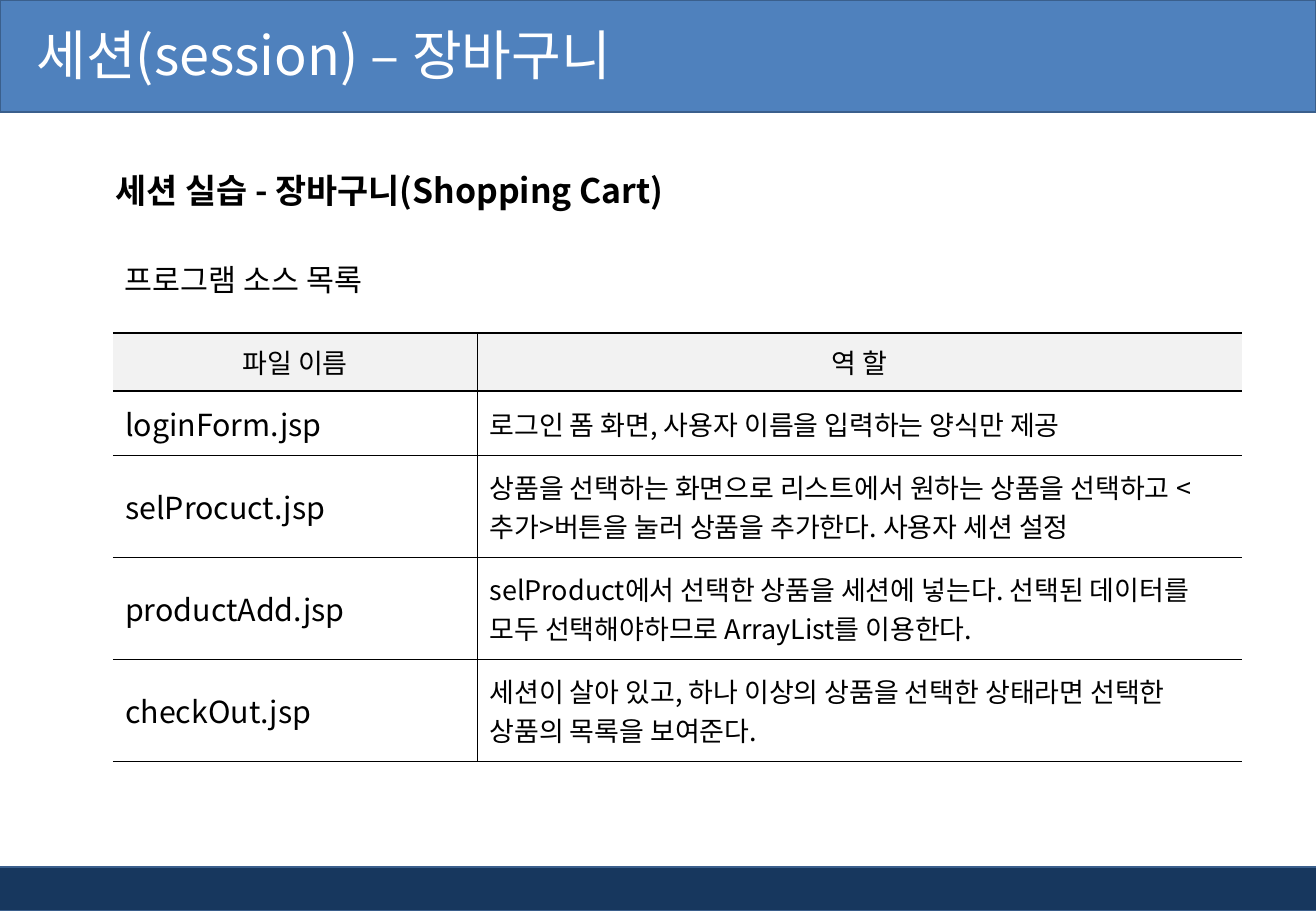
from dataclasses import dataclass

from lxml.etree import SubElement
from pptx import Presentation
from pptx.dml.color import RGBColor
from pptx.enum.shapes import MSO_SHAPE
from pptx.enum.text import MSO_ANCHOR, MSO_AUTO_SIZE, PP_ALIGN
from pptx.oxml.ns import qn
from pptx.slide import Slide
from pptx.table import _Cell
from pptx.text.text import TextFrame
from pptx.util import Emu, Pt

FONT = "Noto Sans CJK KR"
NO_TABLE_STYLE = "{2D5ABB26-0587-4C30-8999-92F81FD0307C}"
WHITE = RGBColor(0xFF, 0xFF, 0xFF)
BLACK = RGBColor(0x00, 0x00, 0x00)
BLUE = RGBColor(0x4F, 0x81, 0xBD)
NAVY = RGBColor(0x17, 0x37, 0x5E)
BAR_EDGE = RGBColor(0x3A, 0x5F, 0x8C)
HEADER_GRAY = RGBColor(0xF2, 0xF2, 0xF2)


@dataclass(frozen=True)
class Box:
    left: int
    top: int
    width: int
    height: int

    def emu(self) -> tuple[Emu, Emu, Emu, Emu]:
        return px(self.left), px(self.top), px(self.width), px(self.height)


@dataclass(frozen=True)
class Bar:
    box: Box
    color: RGBColor


@dataclass(frozen=True)
class SourceFile:
    name: str
    role: str
    height: int


BARS = [
    Bar(Box(-4, 714, 1088, 36), NAVY),
    Bar(Box(0, 0, 1083, 92), BLUE),
]
HEADER = SourceFile("파일 이름", "역 할", 48)
SOURCE_FILES = [
    SourceFile("loginForm.jsp", "로그인 폼 화면, 사용자 이름을 입력하는 양식만 제공", 53),
    SourceFile(
        "selProcuct.jsp",
        "상품을 선택하는 화면으로 리스트에서 원하는 상품을 선택하고 "
        "<추가>버튼을 눌러 상품을 추가한다. 사용자 세션 설정",
        84,
    ),
    SourceFile(
        "productAdd.jsp",
        "selProduct에서 선택한 상품을 세션에 넣는다. "
        "선택된 데이터를 모두 선택해야하므로 ArrayList를 이용한다.",
        84,
    ),
    SourceFile(
        "checkOut.jsp",
        "세션이 살아 있고, 하나 이상의 상품을 선택한 상태라면 선택한 상품의 목록을 보여준다.",
        84,
    ),
]
COLUMN_WIDTHS = (300, 629)


def px(length: int) -> Emu:
    """Turn a length at 100 px to the inch into EMU."""
    return Emu(length * 9144)


def write(frame: TextFrame, text: str, *, size: int, color: RGBColor = BLACK,
          bold: bool = False, align: PP_ALIGN = PP_ALIGN.LEFT,
          line_spacing: float = 1.0) -> None:
    """Write one formatted paragraph into a text frame."""
    paragraph = frame.paragraphs[0]
    paragraph.alignment = align
    paragraph.line_spacing = line_spacing
    run = paragraph.add_run()
    run.text = text
    run.font.size = Pt(size)
    run.font.bold = bold
    run.font.color.rgb = color
    run.font.name = FONT
    SubElement(run.font._element, qn("a:ea"), typeface=FONT)


def add_bar(slide: Slide, bar: Bar) -> None:
    """Draw a full-width band."""
    band = slide.shapes.add_shape(MSO_SHAPE.RECTANGLE, *bar.box.emu())
    band.shadow.inherit = False
    band.fill.solid()
    band.fill.fore_color.rgb = bar.color
    band.line.color.rgb = BAR_EDGE
    band.line.width = Pt(1)


def add_label(slide: Slide, box: Box) -> TextFrame:
    """Add a wrapping text box and return its frame."""
    frame = slide.shapes.add_textbox(*box.emu()).text_frame
    frame.word_wrap = True
    return frame


def add_borders(cell: _Cell, sides: str) -> None:
    """Rule the given sides of a cell in black."""
    for side in sides:
        line = SubElement(cell._tc.get_or_add_tcPr(), qn(f"a:ln{side}"), w=str(Pt(1)))
        SubElement(SubElement(line, qn("a:solidFill")), qn("a:srgbClr"), val=str(BLACK))


def add_file_table(slide: Slide, box: Box) -> None:
    """Build the table of source files and their roles."""
    rows = [HEADER, *SOURCE_FILES]
    table = slide.shapes.add_table(len(rows), len(COLUMN_WIDTHS), *box.emu()).table
    table.first_row = False
    table.horz_banding = False
    table._tbl.tblPr.find(qn("a:tableStyleId")).text = NO_TABLE_STYLE
    for column, width in zip(table.columns, COLUMN_WIDTHS):
        column.width = px(width)
    for row_index, source in enumerate(rows):
        table.rows[row_index].height = px(source.height)
        is_header = source is HEADER
        name_cell, role_cell = table.rows[row_index].cells
        add_borders(name_cell, "RTB")
        add_borders(role_cell, "LTB")
        name_size = 16 if is_header else 18
        align = PP_ALIGN.CENTER if is_header else PP_ALIGN.LEFT
        for cell, text, size in ((name_cell, source.name, name_size),
                                 (role_cell, source.role, 16)):
            cell.vertical_anchor = MSO_ANCHOR.MIDDLE
            if is_header:
                cell.fill.solid()
                cell.fill.fore_color.rgb = HEADER_GRAY
            else:
                cell.fill.background()
            write(cell.text_frame, text, size=size, align=align)


def main() -> None:
    """Build and save the slide."""
    presentation = Presentation()
    presentation.slide_width = px(1083)
    presentation.slide_height = px(750)
    slide = presentation.slides.add_slide(presentation.slide_layouts[6])

    for bar in BARS:
        add_bar(slide, bar)

    title = add_label(slide, Box(0, -3, 874, 94))
    title.vertical_anchor = MSO_ANCHOR.MIDDLE
    title.margin_left = px(30)
    write(title, "세션(session) – 장바구니", size=32, color=WHITE)

    heading = add_label(slide, Box(85, 118, 638, 61))
    heading.auto_size = MSO_AUTO_SIZE.SHAPE_TO_FIT_TEXT
    write(heading, "세션 실습 - 장바구니(Shopping Cart)", size=20, bold=True, line_spacing=1.5)

    add_file_table(slide, Box(93, 274, sum(COLUMN_WIDTHS), 353))

    caption = add_label(slide, Box(93, 210, 244, 40))
    caption.auto_size = MSO_AUTO_SIZE.SHAPE_TO_FIT_TEXT
    write(caption, "프로그램 소스 목록", size=18)

    presentation.save("out.pptx")


if __name__ == "__main__":
    main()
